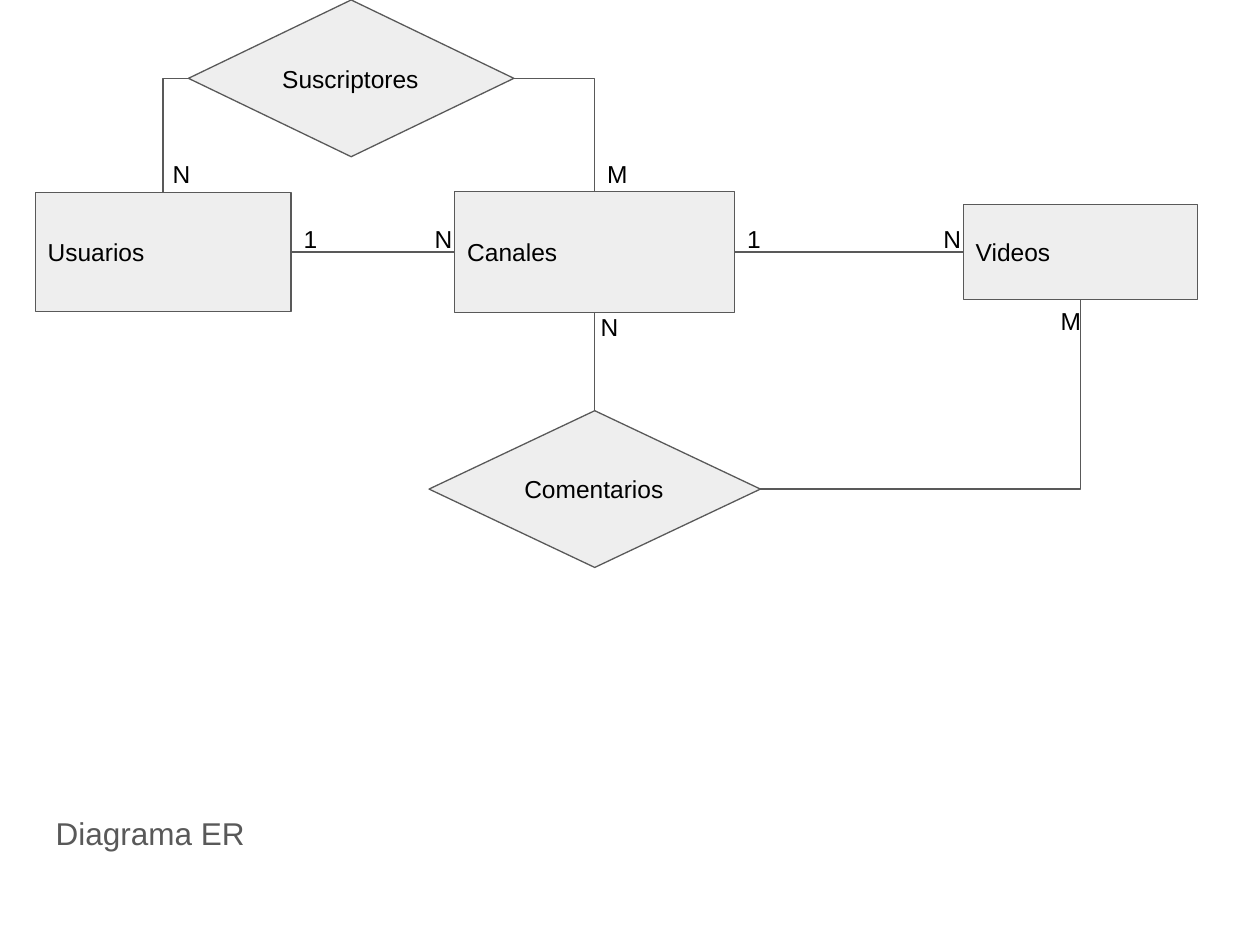
"""Build the entity-relationship diagram slide."""
from lxml.etree import SubElement
from pptx import Presentation
from pptx.dml.color import RGBColor
from pptx.enum.shapes import MSO_CONNECTOR, MSO_SHAPE
from pptx.enum.text import MSO_ANCHOR, MSO_AUTO_SIZE, PP_ALIGN
from pptx.oxml.ns import qn
from pptx.util import Cm, Pt

GRAY = "595959"
BLACK = "000000"


def color(hex_text):
    """Return the colour for a hex string."""
    return RGBColor.from_string(hex_text)


def write(shape, text, size, hex_text, anchor):
    """Put left-aligned Arial text with even margins in a shape."""
    frame = shape.text_frame
    frame.text = text
    frame.word_wrap = True
    frame.vertical_anchor = anchor
    frame.margin_left = frame.margin_right = Cm(0.25)
    frame.margin_top = frame.margin_bottom = Cm(0.25)
    paragraph = frame.paragraphs[0]
    paragraph.alignment = PP_ALIGN.LEFT
    font = paragraph.runs[0].font
    font.name = "Arial"
    font.size = Pt(size)
    font.color.rgb = color(hex_text)


presentation = Presentation()
presentation.slide_width = Cm(25.4)
presentation.slide_height = Cm(19.05)
slide = presentation.slides.add_slide(presentation.slide_layouts[5])

title = slide.shapes.title
title.left, title.top, title.width, title.height = Cm(0.87), Cm(15.67), Cm(16.66), Cm(2.24)
write(title, "Diagrama ER", 18, GRAY, MSO_ANCHOR.MIDDLE)

nodes = {}
for name, kind, center_x, center_y, width, height in [
    ("Usuarios", MSO_SHAPE.RECTANGLE, 3.29, 5.08, 5.16, 2.4),
    ("Canales", MSO_SHAPE.RECTANGLE, 11.99, 5.08, 5.64, 2.44),
    ("Videos", MSO_SHAPE.RECTANGLE, 21.78, 5.08, 4.72, 1.92),
    ("Suscriptores", MSO_SHAPE.DIAMOND, 7.08, 1.58, 6.56, 3.16),
    ("Comentarios", MSO_SHAPE.DIAMOND, 11.99, 9.86, 6.68, 3.16),
]:
    node = slide.shapes.add_shape(
        kind, Cm(center_x - width / 2), Cm(center_y - height / 2), Cm(width), Cm(height)
    )
    node.shadow.inherit = False
    node.fill.solid()
    node.fill.fore_color.rgb = color("EEEEEE")
    node.line.color.rgb = color(GRAY)
    node.line.width = Pt(0.75)
    write(node, name, 14, BLACK, MSO_ANCHOR.MIDDLE)
    nodes[name] = node

TOP, LEFT, BOTTOM, RIGHT = range(4)
for start, start_side, end, end_side, kind in [
    ("Usuarios", RIGHT, "Canales", LEFT, MSO_CONNECTOR.STRAIGHT),
    ("Canales", RIGHT, "Videos", LEFT, MSO_CONNECTOR.STRAIGHT),
    ("Canales", BOTTOM, "Comentarios", TOP, MSO_CONNECTOR.STRAIGHT),
    ("Suscriptores", LEFT, "Usuarios", TOP, MSO_CONNECTOR.ELBOW),
    ("Suscriptores", RIGHT, "Canales", TOP, MSO_CONNECTOR.ELBOW),
    ("Comentarios", RIGHT, "Videos", BOTTOM, MSO_CONNECTOR.ELBOW),
]:
    connector = slide.shapes.add_connector(kind, 0, 0, 0, 0)
    connector.begin_connect(nodes[start], start_side)
    connector.end_connect(nodes[end], end_side)
    connector.line.color.rgb = color(GRAY)
    connector.line.width = Pt(0.75)
    properties = connector._element.spPr
    SubElement(properties, qn("a:effectLst"))
    if kind == MSO_CONNECTOR.ELBOW:
        properties.find(qn("a:prstGeom")).set("prst", "bentConnector2")

for text, left, top in [
    ("N", 3.23, 2.95),
    ("M", 11.99, 2.95),
    ("1", 5.87, 4.27),
    ("N", 8.51, 4.27),
    ("1", 14.81, 4.27),
    ("N", 18.77, 4.27),
    ("N", 11.86, 6.05),
    ("M", 21.13, 5.92),
]:
    label = slide.shapes.add_textbox(Cm(left), Cm(top), Cm(0.66), Cm(1.12))
    write(label, text, 14, BLACK, MSO_ANCHOR.TOP)
    label.text_frame.auto_size = MSO_AUTO_SIZE.SHAPE_TO_FIT_TEXT

presentation.save("out.pptx")
